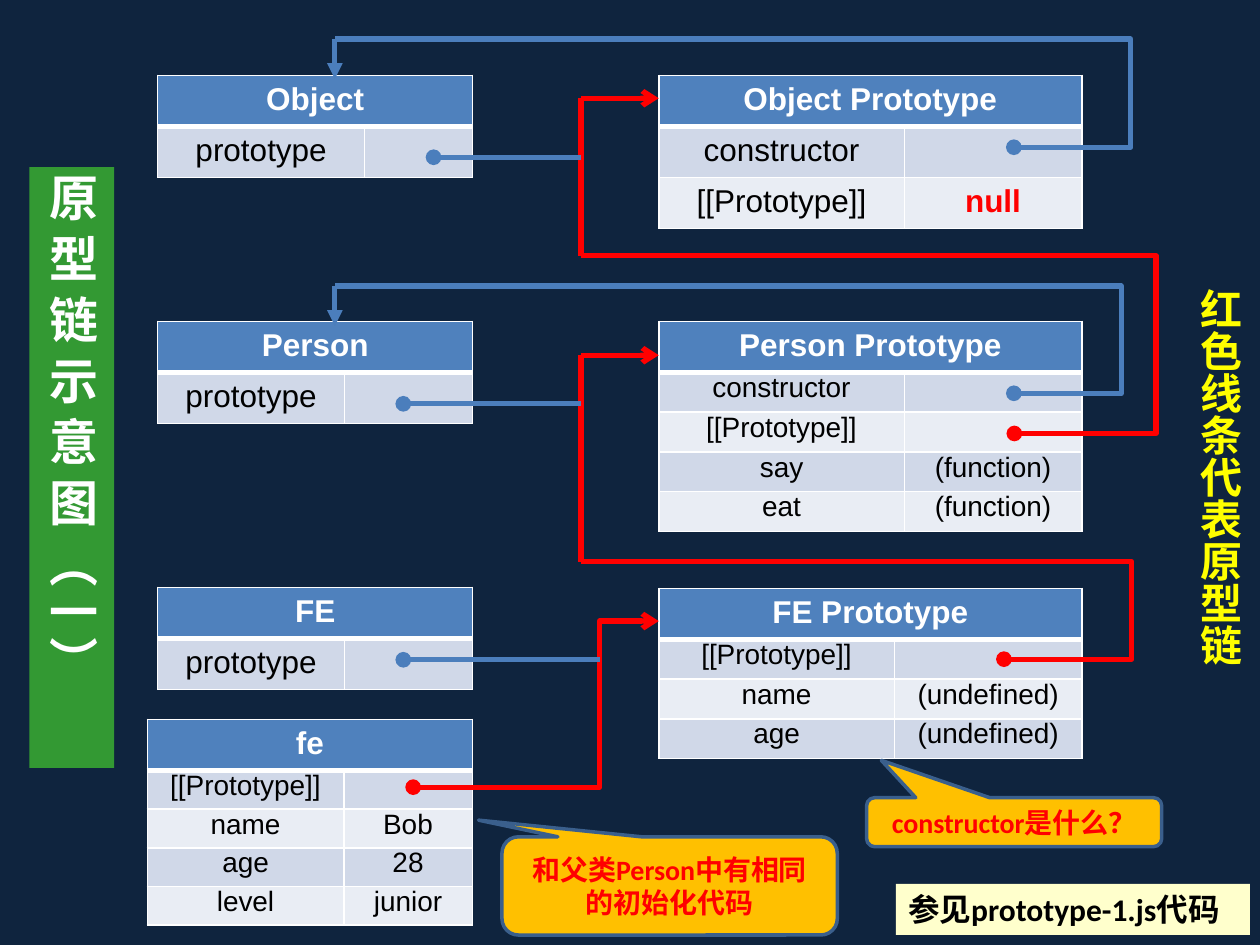
from lxml import etree
from pptx import Presentation
from pptx import util as u
from pptx.dml.color import RGBColor
from pptx.enum import shapes, text
from pptx.oxml.ns import qn

Cm, Pt = u.Cm, u.Pt
BLUE, RED, WHITE, BLACK = "4B7EBC", "FF0000", "FFFFFF", "000000"
HEADER, BANDS = "4F81BD", ("D0D8E8", "E9EDF4")
PROTO_X = 13.28


def rgb(value):
    return RGBColor.from_string(value)


def paint(sp, color):
    sp.fill.solid()
    sp.fill.fore_color.rgb = rgb(color)


def put_text(tf, words, size=18, font="Arial", color=BLACK, bold=False,
             align=text.PP_ALIGN.CENTER):
    p = tf.paragraphs[0]
    p.alignment = align
    if not words:
        etree.SubElement(p._p, qn("a:endParaRPr"), sz=str(size * 100))
        return
    r = p.add_run()
    r.text = words
    r.font.size, r.font.name, r.font.bold = Pt(size), font, bold
    r.font.color.rgb = rgb(color)


def border(cell, **widths):
    tc_pr = cell._tc.get_or_add_tcPr()
    for side in "LRTB":
        ln = etree.SubElement(tc_pr, qn("a:ln" + side),
                              w=str(Pt(widths.get(side, 1))))
        fill = etree.SubElement(ln, qn("a:solidFill"))
        etree.SubElement(fill, qn("a:srgbClr"), val=WHITE)


def class_table(s, x, y, w, split, title, rows, row_h=1.03):
    head_h = 1.03
    compact = row_h < head_h
    size = 16 if compact else 18
    frame = s.shapes.add_table(len(rows) + 1, 2, Cm(x), Cm(y), Cm(w),
                               Cm(head_h + row_h * len(rows)))
    table = frame.table
    table.columns[0].width, table.columns[1].width = Cm(split), Cm(w - split)
    for i, row in enumerate([(title, "")] + rows):
        table.rows[i].height = Cm(row_h if i else head_h)
        for j, words in enumerate(row):
            cell = table.cell(i, j)
            border(cell, **({"B": 3} if i == 0 else {"T": 3} if i == 1 else {}))
            paint(cell, BANDS[(i - 1) % 2] if i else HEADER)
            if i and compact:
                cell.margin_left = cell.margin_right = 0
                cell.margin_top = cell.margin_bottom = 0
            null = words == "null"
            put_text(cell.text_frame, words, size if i else 18,
                     color=RED if null else BLACK if i else WHITE,
                     bold=null or i == 0)
    table.cell(0, 0).merge(table.cell(0, 1))


def line(s, start, end, color, head=None, tail=None, via_x=None):
    kind = shapes.MSO_CONNECTOR
    c = s.shapes.add_connector(kind.STRAIGHT if via_x is None else kind.ELBOW,
                               *(Cm(v) for v in start + end))
    c.line.color.rgb, c.line.width = rgb(color), Pt(3)
    sp_pr = c._element.spPr
    if via_x is not None:
        bend = (via_x - start[0]) / (end[0] - start[0])
        etree.SubElement(sp_pr.find(".//" + qn("a:avLst")), qn("a:gd"),
                         name="adj1", fmla=f"val {round(bend * 100000)}")
    for tag, style in (("a:headEnd", head), ("a:tailEnd", tail)):
        if style:
            etree.SubElement(sp_pr.find(qn("a:ln")), qn(tag), type=style)
    etree.SubElement(sp_pr, qn("a:effectLst"))


def constructor_link(s, x, y, w, h):
    line(s, (x + 13.69, y + h), (x, y), BLUE, head="oval", via_x=x + w)
    line(s, (x, y), (x, y + 0.8), BLUE, tail="triangle")


def parent_link(s, dot, via_x, corner, arrow_y):
    x, y = corner
    line(s, dot, corner, RED, head="oval", via_x=via_x)
    if arrow_y != y:
        line(s, corner, (x, arrow_y), RED)
    line(s, (x, arrow_y), (PROTO_X, arrow_y), RED, tail="arrow")


def vertical_text(sp, words, **style):
    tf = sp.text_frame
    tf.word_wrap = True
    tf.vertical_anchor = text.MSO_ANCHOR.TOP
    tf._txBody.bodyPr.set("vert", "eaVert")
    put_text(tf, words, bold=True, align=text.PP_ALIGN.LEFT, **style)


def title_bar(s, x, y, w, h):
    sp = s.shapes.title
    sp.left, sp.top, sp.width, sp.height = Cm(x), Cm(y), Cm(w), Cm(h)
    paint(sp, "339933")
    sp.text_frame.auto_size = text.MSO_AUTO_SIZE.NONE
    vertical_text(sp, "原 型 链 示 意 图 （一）", size=28, color=WHITE)


def side_note(s, x, y, w, h):
    sp = s.shapes.add_textbox(Cm(x), Cm(y), Cm(w), Cm(h))
    vertical_text(sp, "红色线条代表原型链", size=24, font="Calibri",
                  color="FFFF00")


def code_note(s, x, y, w, h):
    sp = s.shapes.add_textbox(Cm(x), Cm(y), Cm(w), Cm(h))
    paint(sp, "FFFFCC")
    sp.text_frame.word_wrap = True
    put_text(sp.text_frame, "参见prototype-1.js代码", font="Calibri", bold=True,
             align=text.PP_ALIGN.LEFT)


def callout(s, x, y, w, h, words, tip):
    sp = s.shapes.add_shape(shapes.MSO_SHAPE.ROUNDED_RECTANGULAR_CALLOUT,
                            Cm(x), Cm(y), Cm(w), Cm(h))
    sp.shadow.inherit = False
    sp.adjustments[0], sp.adjustments[1] = tip
    paint(sp, "FFC000")
    sp.line.color.rgb, sp.line.width = rgb("3A5F8C"), Pt(2)
    sp.text_frame.word_wrap = True
    put_text(sp.text_frame, words, 16, "Calibri", RED, True)


def prototype_slide(prs):
    s = prs.slides.add_slide(prs.slide_layouts[5])
    paint(s.background, "0F243E")
    title_bar(s, 0.59, 3.37, 1.71, 12.11)

    own = [("prototype", "")]
    link = ("[[Prototype]]", "")
    maker = ("constructor", "")
    for y, split, name in ((1.52, 4.17, "Object"), (6.48, 3.76, "Person"),
                           (11.84, 3.76, "FE")):
        class_table(s, 3.18, y, 6.35, split, name, own)
    class_table(s, 2.97, 14.5, 6.55, 3.96, "fe",
                [link, ("name", "Bob"), ("age", "28"), ("level", "junior")], 0.78)
    class_table(s, PROTO_X, 1.52, 8.53, 4.95, "Object Prototype",
                [maker, ("[[Prototype]]", "null")])
    class_table(s, PROTO_X, 6.48, 8.53, 4.95, "Person Prototype",
                [maker, link, ("say", "(function)"), ("eat", "(function)")], 0.8)
    class_table(s, PROTO_X, 11.86, 8.53, 4.75, "FE Prototype",
                [link, ("name", "(undefined)"), ("age", "(undefined)")], 0.8)

    constructor_link(s, 6.75, 0.79, 16.05, 2.18)
    constructor_link(s, 6.75, 5.77, 15.85, 2.16)
    parent_link(s, (20.45, 8.74), 23.31, (11.71, 5.16), 1.98)
    parent_link(s, (20.24, 13.29), 22.82, (11.71, 11.32), 7.16)
    parent_link(s, (8.33, 15.87), 12.09, (12.1, 12.52), 12.52)
    for x, y, end in ((8.74, 3.17, 11.71), (8.13, 8.14, 11.71), (8.13, 13.3, 12.1)):
        line(s, (x, y), (end, y), BLUE, head="oval")

    side_note(s, 23.67, 5.56, 1.55, 8.13)
    code_note(s, 18.06, 17.82, 7.14, 1.03)
    callout(s, 17.47, 16.08, 5.95, 0.99, "constructor是什么？", (-0.45, -1.26))
    callout(s, 10.12, 16.87, 6.76, 1.98, "和父类Person中有相同的初始化代码",
            (-0.57, -0.67))


prs = Presentation()
prs.slide_width, prs.slide_height = Cm(25.4), Cm(19.05)
prototype_slide(prs)
prs.save("out.pptx")
